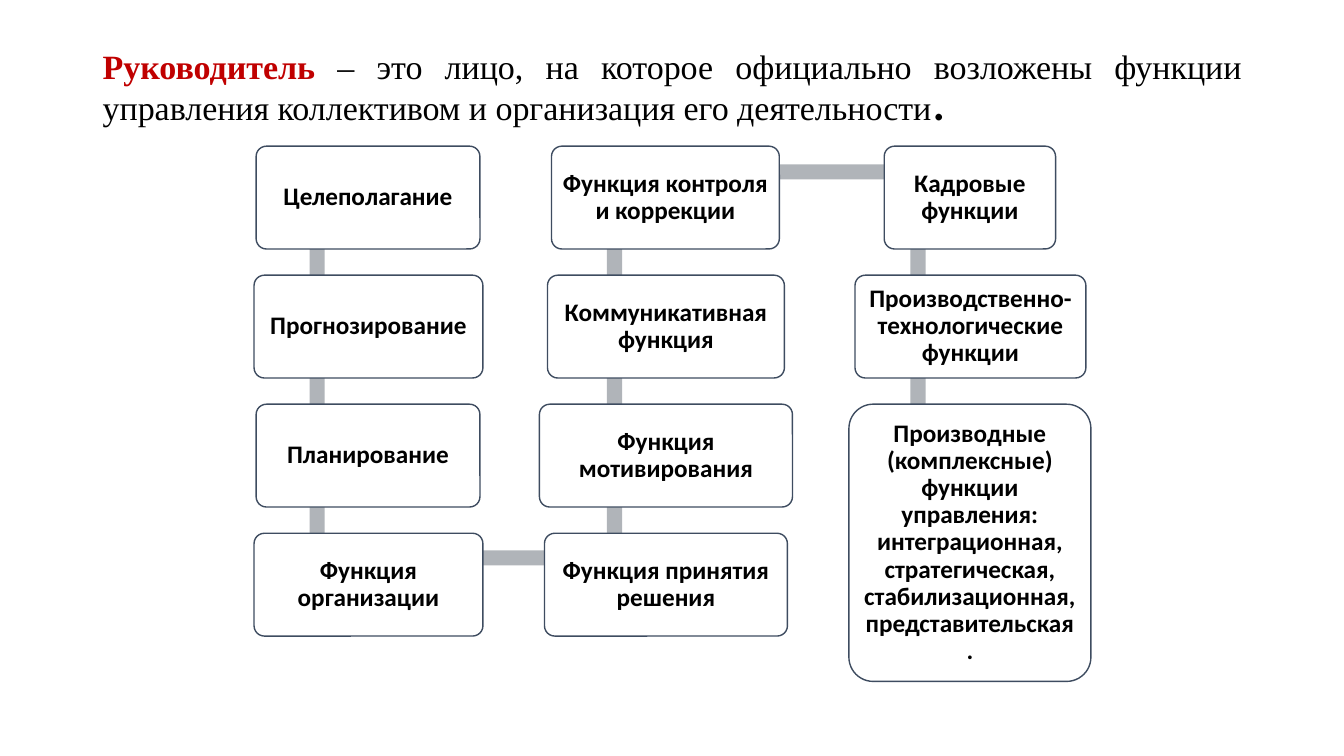
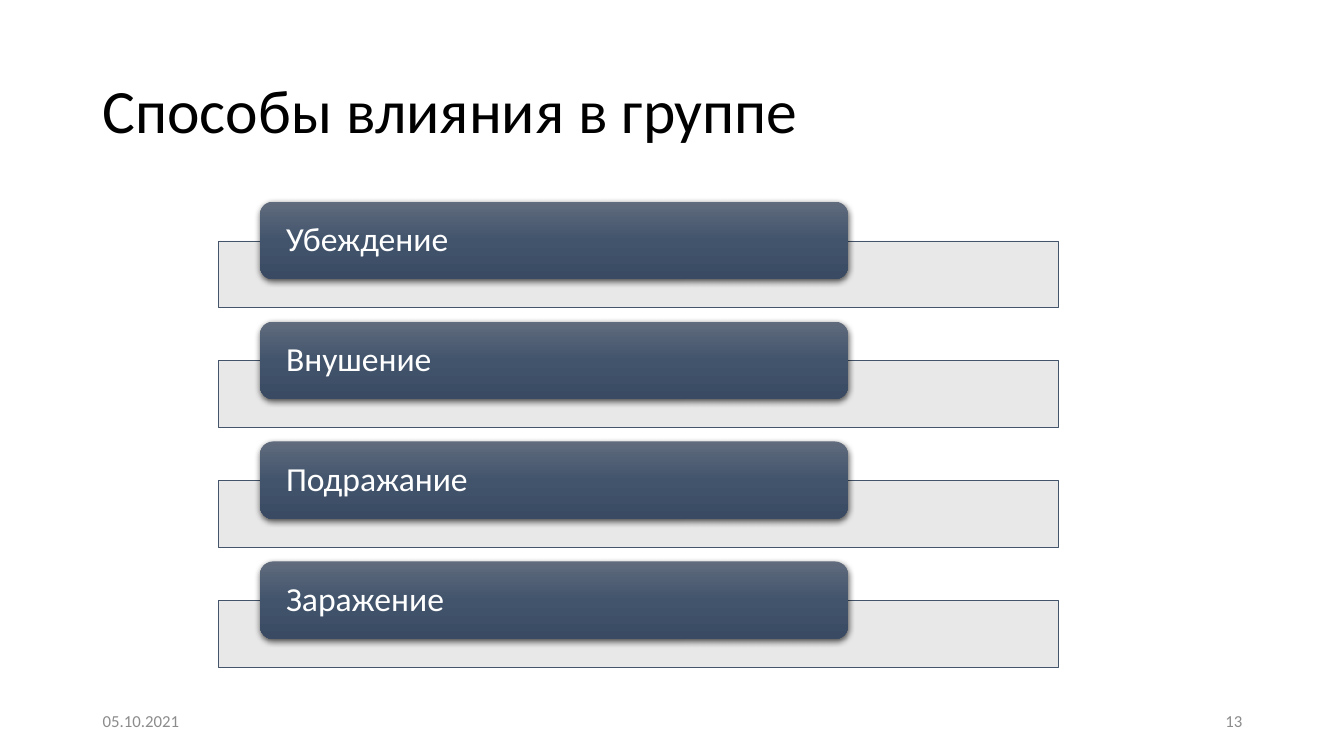
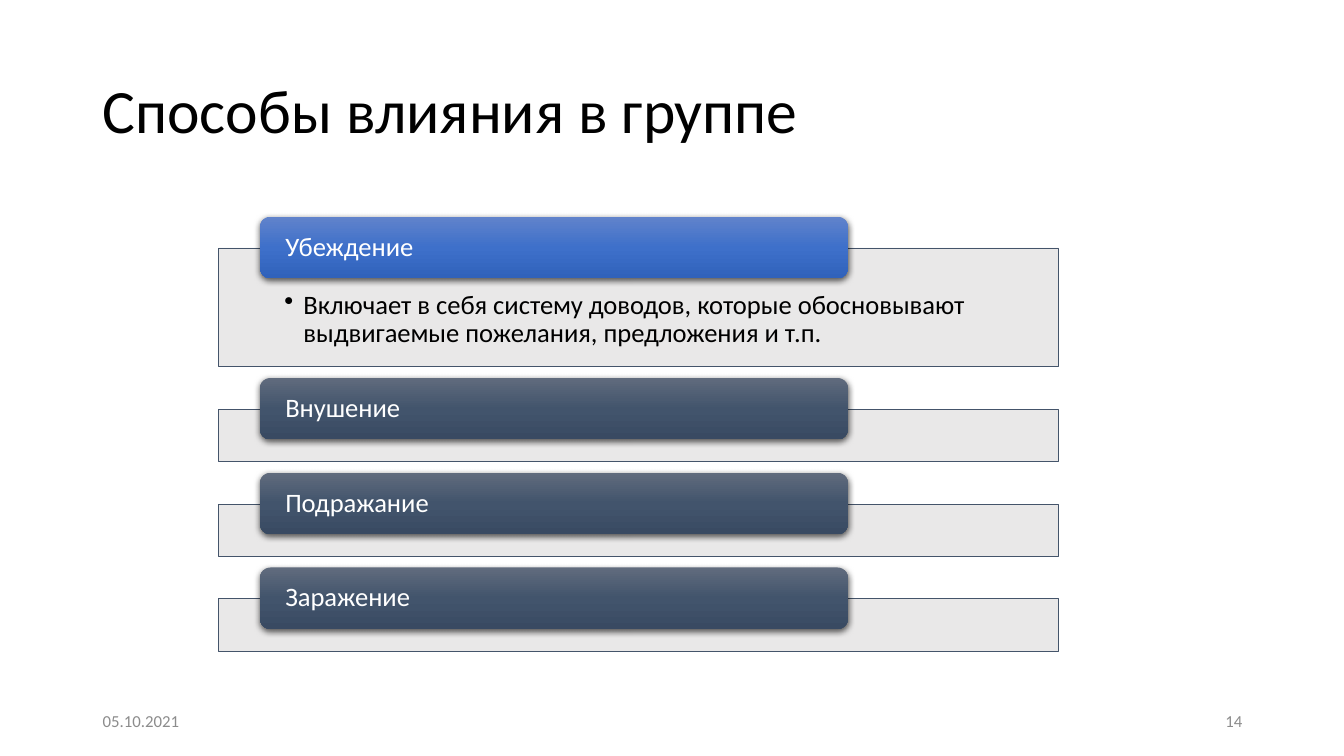
"""Build three slides on the functions of a leader and ways of influence in a group."""
from dataclasses import dataclass
from typing import NamedTuple

from lxml.etree import SubElement
from pptx import Presentation
from pptx.dml.color import RGBColor
from pptx.enum.shapes import MSO_SHAPE
from pptx.enum.text import MSO_ANCHOR, PP_ALIGN
from pptx.oxml.ns import qn
from pptx.shapes.autoshape import Shape
from pptx.slide import Slide
from pptx.text.text import TextFrame
from pptx.util import Emu, Pt

PX = 9144
SANS = "Calibri"
SERIF = "Times New Roman"
BLACK = RGBColor(0x00, 0x00, 0x00)
WHITE = RGBColor(0xFF, 0xFF, 0xFF)
RED = RGBColor(0xC0, 0x00, 0x00)
MUTED = RGBColor(0x8C, 0x8C, 0x8C)
LINK_GRAY = RGBColor(0xB0, 0xB4, 0xB9)
BOX_EDGE = RGBColor(0x3E, 0x4C, 0x60)
BAND_FILL = RGBColor(0xE7, 0xE6, 0xE6)
BAND_EDGE = RGBColor(0x44, 0x54, 0x6A)
SLATE = (RGBColor(0x60, 0x6B, 0x7D), RGBColor(0x42, 0x54, 0x6C), RGBColor(0x39, 0x4A, 0x62))
BLUE = (RGBColor(0x61, 0x83, 0xCB), RGBColor(0x3E, 0x70, 0xCA), RGBColor(0x30, 0x62, 0xBB))


class Area(NamedTuple):
    left: int
    top: int
    width: int
    height: int


class Insets(NamedTuple):
    left: int
    top: int
    right: int
    bottom: int


class TextStyle(NamedTuple):
    size: float
    color: RGBColor = BLACK
    bold: bool = False
    align: PP_ALIGN = PP_ALIGN.LEFT
    spacing: float = 0.9
    font: str = SANS


@dataclass(frozen=True)
class FunctionBox:
    text: str
    width: int
    height: int = 102


@dataclass(frozen=True)
class FunctionColumn:
    center: int
    link_left: int
    boxes: tuple[FunctionBox, ...]


@dataclass(frozen=True)
class Method:
    name: str
    detail: str = ""
    colors: tuple[RGBColor, ...] = SLATE


@dataclass(frozen=True)
class MethodLayout:
    top: int
    tab_height: int
    band_offset: int
    band_height: int
    gap: int
    size: int


TITLE_STYLE = TextStyle(44)
BOX_STYLE = TextStyle(18, bold=True, align=PP_ALIGN.CENTER)
TEXT_INSETS = Insets(10, 5, 10, 5)
BOX_INSETS = Insets(7, 7, 7, 7)
TAB_INSETS = Insets(22, 0, 22, 0)
DETAIL_INSETS = Insets(65, 43, 65, 15)
ROWS_TOP = 145
ROW_GAP = 26
LINK_SIZE = 15
LINK_OFFSET = 25
DETAIL_EXTRA = 66
DETAIL_INDENT = 19
DATE = "05.10.2021"
METHODS_TITLE = "Способы влияния в группе"
CROSS_LINKS = (Area(315, 546, 294, LINK_SIZE), Area(610, 163, 301, LINK_SIZE))
COLUMNS = (
    FunctionColumn(365, 307, (
        FunctionBox("Целеполагание", 222),
        FunctionBox("Прогнозирование", 227),
        FunctionBox("Планирование", 222),
        FunctionBox("Функция организации", 227),
    )),
    FunctionColumn(660, 602, (
        FunctionBox("Функция контроля и коррекции", 226),
        FunctionBox("Коммуникативная функция", 235),
        FunctionBox("Функция мотивирования", 251),
        FunctionBox("Функция принятия решения", 241),
    )),
    FunctionColumn(962, 903, (
        FunctionBox("Кадровые функции", 170),
        FunctionBox("Производственно-технологические функции", 229),
        FunctionBox(
            "Производные (комплексные) функции управления: интеграционная, "
            "стратегическая, стабилизационная, представительская.", 240, 275),
    )),
)
METHODS = (Method("Убеждение"), Method("Внушение"), Method("Подражание"), Method("Заражение"))
PERSUASION = Method(
    "Убеждение",
    "Включает в себя систему доводов, которые обосновывают "
    "выдвигаемые пожелания, предложения и т.п.",
    BLUE,
)


def to_emu(area: Area) -> tuple[Emu, ...]:
    """Turn an area in px into EMU lengths."""
    return tuple(Emu(length * PX) for length in area)


def prepare_frame(frame: TextFrame, insets: Insets, anchor: MSO_ANCHOR) -> None:
    """Set wrapping, margins and anchor of a text frame."""
    frame.word_wrap = True
    frame.vertical_anchor = anchor
    frame.margin_left, frame.margin_top, frame.margin_right, frame.margin_bottom = (
        Emu(inset * PX) for inset in insets)


def write(frame: TextFrame, text: str, style: TextStyle, insets: Insets = TEXT_INSETS,
          anchor: MSO_ANCHOR = MSO_ANCHOR.MIDDLE) -> None:
    """Fill a text frame with one styled paragraph."""
    prepare_frame(frame, insets, anchor)
    para = frame.paragraphs[0]
    para.text = text
    para.alignment = style.align
    para.line_spacing = style.spacing
    para.font.name = style.font
    para.font.size = Pt(style.size)
    para.font.bold = style.bold
    para.font.color.rgb = style.color


def add_text(page: Slide, area: Area, text: str, style: TextStyle) -> None:
    """Add a text box with one paragraph."""
    write(page.shapes.add_textbox(*to_emu(area)).text_frame, text, style)


def add_box(page: Slide, kind: MSO_SHAPE, area: Area, fill: RGBColor | None = None,
            edge: RGBColor | None = None, edge_width: float = 1) -> Shape:
    """Add a flat shape with an optional fill and outline."""
    box = page.shapes.add_shape(kind, *to_emu(area))
    box.shadow.inherit = False
    if fill is not None:
        box.fill.solid()
        box.fill.fore_color.rgb = fill
    if edge is None:
        box.line.fill.background()
    else:
        box.line.color.rgb = edge
        box.line.width = Pt(edge_width)
    return box


def add_definition(page: Slide) -> None:
    """Add the justified definition of a leader."""
    frame = page.shapes.add_textbox(*to_emu(Area(92, 40, 1150, 91))).text_frame
    prepare_frame(frame, TEXT_INSETS, MSO_ANCHOR.MIDDLE)
    para = frame.paragraphs[0]
    para.alignment = PP_ALIGN.JUSTIFY
    para.line_spacing = Pt(32.4)
    parts = (
        ("Руководитель", TextStyle(24.3, RED, True, font=SERIF)),
        (" – это лицо, на которое официально возложены функции управления "
         "коллективом и организация его деятельности", TextStyle(24.3, font=SERIF)),
        (".", TextStyle(39.6)),
    )
    for text, style in parts:
        span = para.add_run()
        span.text = text
        span.font.name = style.font
        span.font.size = Pt(style.size)
        span.font.bold = style.bold
        span.font.color.rgb = style.color


def add_column(page: Slide, column: FunctionColumn) -> None:
    """Stack the boxes of a column over the links between their centres."""
    top = ROWS_TOP
    areas = []
    for box in column.boxes:
        areas.append(Area(column.center - box.width // 2, top, box.width, box.height))
        top += box.height + ROW_GAP
    for upper, lower in zip(areas, areas[1:]):
        length = (upper.height + lower.height) // 2 + ROW_GAP - 1
        link = Area(column.link_left, upper.top + LINK_OFFSET, LINK_SIZE, length)
        add_box(page, MSO_SHAPE.RECTANGLE, link, LINK_GRAY)
    for box, area in zip(column.boxes, areas):
        shape = add_box(page, MSO_SHAPE.ROUNDED_RECTANGLE, area, WHITE, BOX_EDGE)
        shape.adjustments[0] = 0.1
        write(shape.text_frame, box.text, BOX_STYLE, BOX_INSETS)


def add_band(page: Slide, area: Area, detail: str, size: int) -> None:
    """Add a translucent band with an optional bulleted detail."""
    band = add_box(page, MSO_SHAPE.RECTANGLE, area, BAND_FILL, BAND_EDGE, 0.5)
    color = band.element.spPr.find(qn("a:solidFill")).find(qn("a:srgbClr"))
    SubElement(color, qn("a:alpha"), val="90000")
    if detail:
        para = band.text_frame.paragraphs[0]
        properties = para._p.get_or_add_pPr()
        properties.set("marL", str(DETAIL_INDENT * PX))
        properties.set("indent", str(-DETAIL_INDENT * PX))
        SubElement(properties, qn("a:buChar"), char="•")
        write(band.text_frame, detail, TextStyle(size), DETAIL_INSETS, MSO_ANCHOR.TOP)


def add_tab(page: Slide, area: Area, method: Method, size: int) -> None:
    """Add a shaded tab that carries the name of a method."""
    tab = add_box(page, MSO_SHAPE.ROUNDED_RECTANGLE, area)
    tab.fill.gradient()
    tab.fill.gradient_angle = 270
    stops = tab.element.spPr.find(qn("a:gradFill")).find(qn("a:gsLst"))
    for stop in list(stops):
        stops.remove(stop)
    for position, color in zip((0, 50000, 100000), method.colors):
        stop = SubElement(stops, qn("a:gs"), pos=str(position))
        SubElement(stop, qn("a:srgbClr"), val=str(color))
    effects = tab.element.spPr.find(qn("a:effectLst"))
    shadow = SubElement(effects, qn("a:outerShdw"), blurRad=str(Pt(4.5)), dist=str(Pt(1.5)),
                        dir="5400000", algn="ctr", rotWithShape="0")
    shade = SubElement(shadow, qn("a:srgbClr"), val=str(BLACK))
    SubElement(shade, qn("a:alpha"), val="63000")
    write(tab.text_frame, method.name, TextStyle(size, WHITE), TAB_INSETS)


def add_functions_page(deck: Presentation) -> None:
    """Add the slide with the chain of leader functions."""
    page = deck.slides.add_slide(deck.slide_layouts[6])
    add_definition(page)
    for link in CROSS_LINKS:
        add_box(page, MSO_SHAPE.RECTANGLE, link, LINK_GRAY)
    for column in COLUMNS:
        add_column(page, column)


def add_methods_page(deck: Presentation, number: int, methods: tuple[Method, ...],
                     layout: MethodLayout) -> None:
    """Add a slide that lists the ways of influence."""
    page = deck.slides.add_slide(deck.slide_layouts[6])
    add_text(page, Area(92, 40, 1150, 145), METHODS_TITLE, TITLE_STYLE)
    top = layout.top
    for method in methods:
        height = layout.band_height + (DETAIL_EXTRA if method.detail else 0)
        band = Area(217, top + layout.band_offset, 833, height)
        add_band(page, band, method.detail, layout.size)
        add_tab(page, Area(258, top, 583, layout.tab_height), method, layout.size)
        top = band.top + band.height + layout.gap
    add_text(page, Area(92, 695, 300, 40), DATE, TextStyle(12, MUTED, spacing=1.0))
    add_text(page, Area(942, 695, 300, 40), str(number),
             TextStyle(12, MUTED, align=PP_ALIGN.RIGHT, spacing=1.0))


def main() -> None:
    """Build and save the deck."""
    deck = Presentation()
    deck.slide_width = Emu(1333 * PX)
    deck.slide_height = Emu(750 * PX)
    add_functions_page(deck)
    add_methods_page(deck, 13, METHODS, MethodLayout(200, 77, 39, 66, 14, 24))
    add_methods_page(deck, 14, (PERSUASION, *METHODS[1:]), MethodLayout(215, 61, 31, 52, 11, 19))
    deck.save("out.pptx")


if __name__ == "__main__":
    main()
